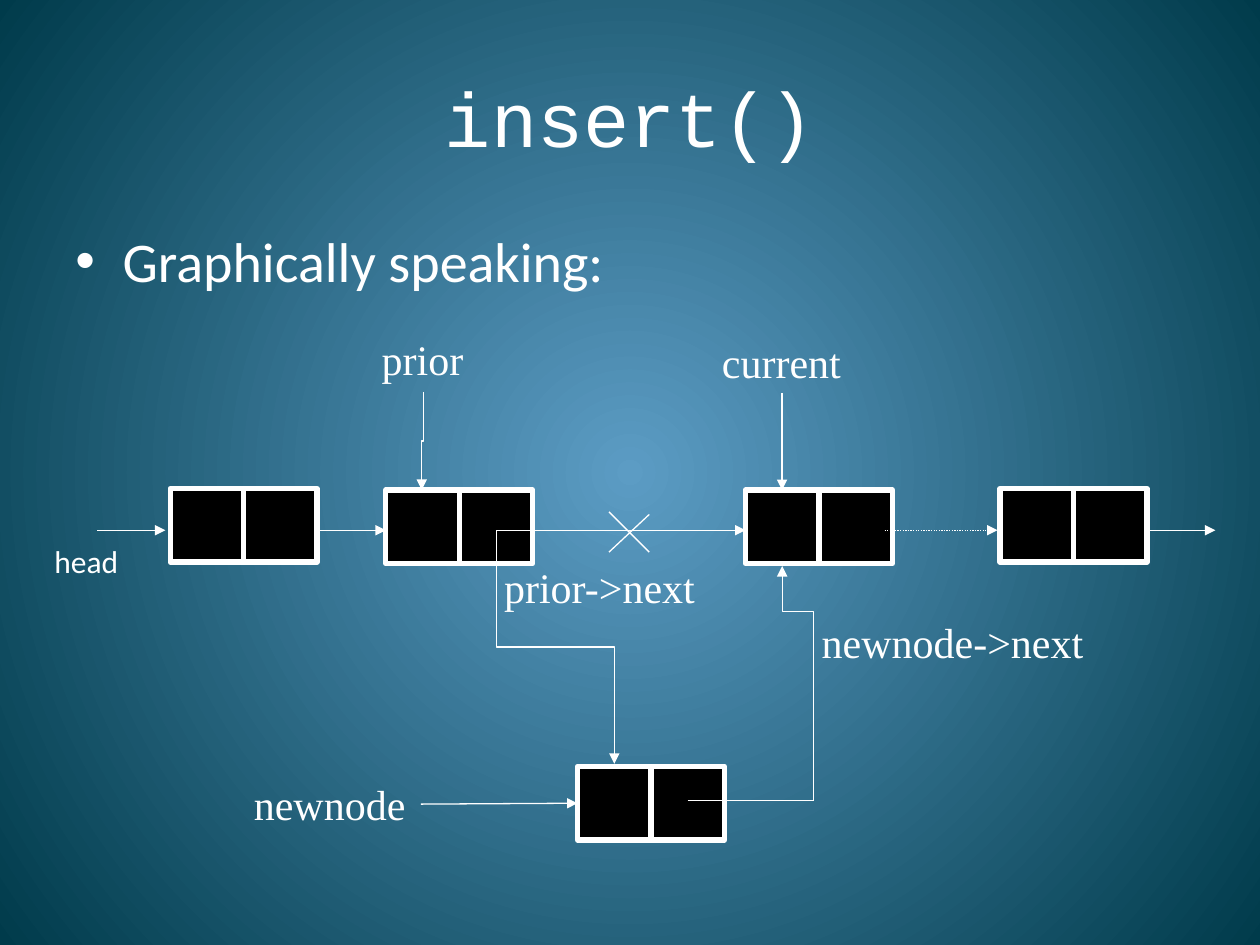
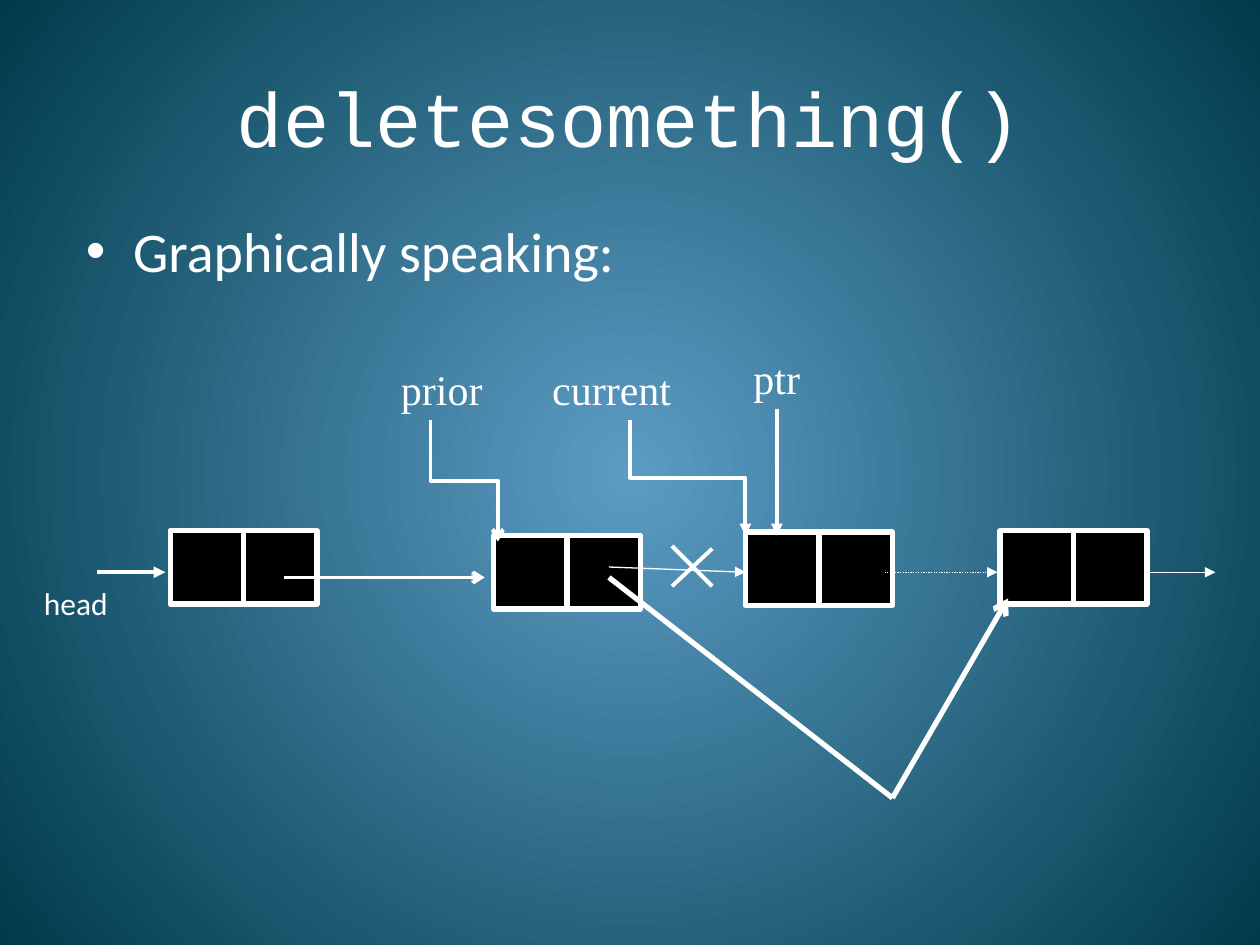
from lxml import etree
from pptx import Presentation
from pptx.dml.color import RGBColor
from pptx.enum.dml import MSO_LINE
from pptx.enum.shapes import MSO_CONNECTOR, MSO_SHAPE
from pptx.enum.text import MSO_ANCHOR, MSO_AUTO_SIZE, PP_ALIGN
from pptx.oxml.ns import qn
from pptx.util import Pt

STRAIGHT, ELBOW = MSO_CONNECTOR.STRAIGHT, MSO_CONNECTOR.ELBOW
RECTANGLE = MSO_SHAPE.RECTANGLE
DOTTED = MSO_LINE.ROUND_DOT
LEFT, CENTER = PP_ALIGN.LEFT, PP_ALIGN.CENTER
TOP, MIDDLE = MSO_ANCHOR.TOP, MSO_ANCHOR.MIDDLE
FIT_SHAPE, NO_FIT = MSO_AUTO_SIZE.SHAPE_TO_FIT_TEXT, MSO_AUTO_SIZE.NONE

WHITE, BLACK = "FFFFFF", "000000"
GLOW, EDGE = "5C9CC4", "003B4B"
BODY_FONT, CODE_FONT, LABEL_FONT = "Calibri", "Courier New", "Times New Roman"
CELL = 42
THIN, MEDIUM, THICK = 0.75, 2.25, 3
TITLE_ONLY = 5

# Left edges of the list nodes that both slides share
FIRST_X, CURRENT_X, LAST_X = 97.25, 426, 571.5


def color(value):
    return RGBColor.from_string(value)


def add_sub(parent, tag, **attributes):
    return etree.SubElement(parent, qn(tag), **attributes)


def paint_background(master):
    """Radial gradient from a bright centre to dark corners."""
    fill = master.background.fill
    fill.gradient()
    for stop, value in zip(fill.gradient_stops, (GLOW, EDGE)):
        stop.color.rgb = color(value)
    for stop, position in zip(fill.gradient_stops, (0, 1)):
        stop.position = position
    gradient = master.background._cSld.find(".//" + qn("a:gradFill"))
    linear = gradient.find(qn("a:lin"))
    if linear is not None:
        gradient.remove(linear)
    radial = etree.Element(qn("a:path"), path="circle")
    add_sub(radial, "a:fillToRect", l="50000", t="50000", r="50000", b="50000")
    gradient.find(qn("a:gsLst")).addnext(radial)


def write(shape, text, size=24, font=LABEL_FONT, align=LEFT, anchor=TOP,
          wrap=False, fit=FIT_SHAPE, bullet=False):
    frame = shape.text_frame
    frame.word_wrap = wrap
    frame.auto_size = fit
    frame.vertical_anchor = anchor
    paragraph = frame.paragraphs[0]
    paragraph.alignment = align
    run = paragraph.add_run()
    run.text = text
    run.font.size = Pt(size)
    run.font.name = font
    run.font.color.rgb = color(WHITE)
    if bullet:
        paragraph.space_before = Pt(size * 0.2)
        properties = paragraph._p.get_or_add_pPr()
        properties.set("marL", str(Pt(27)))
        properties.set("indent", str(-Pt(27)))
        add_sub(properties, "a:buFont", typeface="Arial")
        add_sub(properties, "a:buChar", char="•")


def label(slide, text, x, y, width, height=36, **style):
    box = slide.shapes.add_textbox(Pt(x), Pt(y), Pt(width), Pt(height))
    write(box, text, **style)


def style_line(connector, weight, head, dash):
    connector.line.color.rgb = color(WHITE)
    connector.line.width = Pt(weight)
    if dash:
        connector.line.dash_style = dash
    if head:
        add_sub(connector.line._get_or_add_ln(), "a:tailEnd", type=head)
    add_sub(connector._element.spPr, "a:effectLst")


def wire(shapes, x1, y1, x2, y2, weight=THIN, head="triangle", dash=None):
    connector = shapes.add_connector(STRAIGHT, Pt(x1), Pt(y1), Pt(x2), Pt(y2))
    style_line(connector, weight, head, dash)


def elbow(shapes, x1, y1, x2, y2, weight=THIN, head="triangle"):
    """Connector that leaves and arrives vertically: a turned elbow."""
    run, rise = abs(y2 - y1), abs(x2 - x1)
    left, top = (x1 + x2 - run) / 2, (y1 + y2 - rise) / 2
    connector = shapes.add_connector(
        ELBOW, Pt(left), Pt(top), Pt(left + run), Pt(top + rise))
    frame = connector._element.spPr.find(qn("a:xfrm"))
    frame.set("rot", str((90 if x2 < x1 else 270) * 60000))
    if (x2 < x1) != (y2 > y1):
        frame.set("flipH", "1")
    style_line(connector, weight, head, None)


def node(slide, x, y):
    """Two cells side by side: data and next pointer."""
    group = slide.shapes.add_group_shape()
    for column in range(2):
        cell = group.shapes.add_shape(
            RECTANGLE, Pt(x + column * CELL), Pt(y), Pt(CELL), Pt(CELL))
        cell.shadow.inherit = False
        cell.fill.solid()
        cell.fill.fore_color.rgb = color(BLACK)
        cell.line.color.rgb = color(WHITE)
        cell.line.width = Pt(THICK)


def cross(slide, x, y, weight):
    """Marks a link that is cut."""
    shapes = slide.shapes.add_group_shape().shapes
    wire(shapes, x, y, x + 23, y + 23, weight, head=None)
    wire(shapes, x, y + 23, x + 23, y + 1.5, weight, head=None)


def start_slide(deck, title, bullet_x, bullet_y):
    slide = deck.slides.add_slide(deck.slide_layouts[TITLE_ONLY])
    heading = slide.shapes.title
    heading.left, heading.top = Pt(36), Pt(21.6)
    heading.width, heading.height = Pt(648), Pt(90)
    write(heading, title, size=44, font=CODE_FONT, align=CENTER,
          anchor=MIDDLE, wrap=True, fit=NO_FIT)
    label(slide, "Graphically speaking:", bullet_x, bullet_y, 648, 72,
          size=32, font=BODY_FONT, wrap=True, fit=NO_FIT, bullet=True)
    return slide


def linked_list(slide, axis, prior_x, prior_y, head_x, head_weight):
    """The list along a horizontal axis, from head to the open end."""
    for x, y in ((FIRST_X, axis - 23.75), (prior_x, prior_y),
                 (CURRENT_X, axis - 23), (LAST_X, axis - 23.75)):
        node(slide, x, y)
    label(slide, "head", head_x, axis + 3, 52, 29, size=18, font=BODY_FONT)
    wire(slide.shapes, 55.5, axis, 94.5, axis, head_weight)
    wire(slide.shapes, 505.5, axis, 570, axis, dash=DOTTED)
    wire(slide.shapes, LAST_X + 2 * CELL, axis, 694.5, axis)


def insert_diagram(slide, axis):
    prior_x, new_x, new_y = 220.5, 330, axis + 135
    linked_list(slide, axis, prior_x, axis - 23, head_x=24, head_weight=THIN)
    node(slide, new_x, new_y)
    shapes = slide.shapes

    # Links along the list, one of them cut
    wire(shapes, FIRST_X + 2 * CELL, axis, prior_x, axis)
    wire(shapes, 283.5, axis, CURRENT_X, axis)
    cross(slide, 348, axis - 10.5, THIN)

    # Pointers to the nodes
    label(slide, "prior", 211, axis - 116, 62)
    elbow(shapes, 242, axis - 79, 241, axis - 23)
    label(slide, "current", 405.5, axis - 114.5, 83)
    elbow(shapes, 447, axis - 78.5, 447, axis - 23)
    label(slide, "newnode", 138, axis + 138.5, 102)
    wire(shapes, 240.5, axis + 156.5, new_x, axis + 156)

    # New links through the inserted node
    elbow(shapes, 283.5, axis, 351, axis + 133.5)
    wire(shapes, 393, axis + 154.5, 465, axis + 154.5, head=None)
    wire(shapes, 465, axis + 154.5, 465, axis + 72, head=None)
    elbow(shapes, 465, axis + 72, 447, axis + 20.5)
    label(slide, "prior->next", 281, axis + 14.5, 125)
    label(slide, "newnode->next", 462.5, axis + 45.5, 166)


def delete_diagram(slide, axis):
    prior_x = 282
    linked_list(slide, axis, prior_x, axis - 21, head_x=18, head_weight=MEDIUM)
    shapes = slide.shapes

    # Links along the list, one of them cut
    wire(shapes, 162, axis + 3, 277, axis + 3, MEDIUM, head="arrow")
    wire(shapes, 348, axis - 3, CURRENT_X, axis)
    cross(slide, 384, axis - 15, MEDIUM)

    # Pointers to the nodes
    label(slide, "prior", 222, axis - 123, 62)
    elbow(shapes, 246, axis - 87, 284.5, axis - 17.5, MEDIUM, head="arrow")
    label(slide, "current", 308.5, axis - 123, 83)
    elbow(shapes, 360, axis - 87, CURRENT_X, axis - 21, MEDIUM)
    label(slide, "ptr", 423.5, axis - 129, 42)
    elbow(shapes, 444, axis - 93, 444, axis - 21, MEDIUM)

    # New link around the deleted node
    wire(shapes, 348, axis + 3, 510, axis + 129, THICK, head=None)
    wire(shapes, 510, axis + 129, 576, axis + 15, THICK, head="arrow")


deck = Presentation()
deck.slide_width, deck.slide_height = Pt(720), Pt(540)
paint_background(deck.slide_master)
insert_diagram(start_slide(deck, "insert()", 36, 126), axis=303)
delete_diagram(start_slide(deck, "deletesomething()", 42, 120), axis=327)
deck.save("out.pptx")
